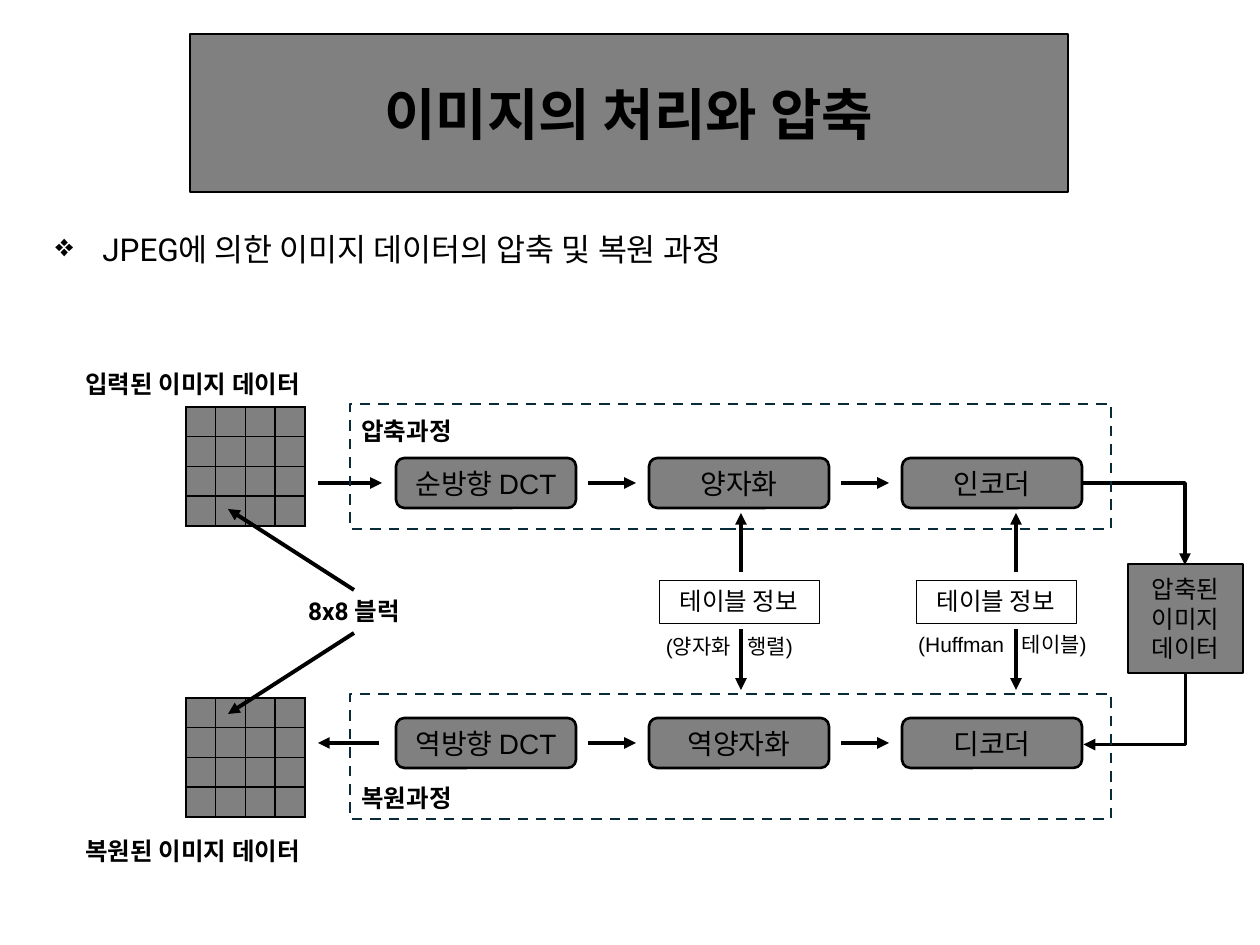
from lxml import etree
from pptx import Presentation
from pptx.dml.color import RGBColor
from pptx.enum.dml import MSO_LINE
from pptx.enum.shapes import MSO_CONNECTOR, MSO_SHAPE
from pptx.enum.text import MSO_ANCHOR, MSO_AUTO_SIZE, PP_ALIGN
from pptx.oxml.ns import qn
from pptx.util import Emu, Pt

RECT, ROUND = MSO_SHAPE.RECTANGLE, MSO_SHAPE.ROUNDED_RECTANGLE
STRAIGHT, ELBOW = MSO_CONNECTOR.STRAIGHT, MSO_CONNECTOR.ELBOW
LEFT, CENTER = PP_ALIGN.LEFT, PP_ALIGN.CENTER
TOP, MIDDLE = MSO_ANCHOR.TOP, MSO_ANCHOR.MIDDLE
FIXED, GROW = MSO_AUTO_SIZE.NONE, MSO_AUTO_SIZE.SHAPE_TO_FIT_TEXT
DASH = MSO_LINE.DASH

BLACK, GRAY, NAVY = "000000", "808080", "092A39"
ARIAL, ROBOTO, KOREAN = "Arial", "Roboto", "Noto Sans CJK KR"


def px(n):
    return Emu(round(n * 914400 / 126))


def color(hex_code):
    return RGBColor.from_string(hex_code)


def add_run(p, text, size, font, bold=False):
    r = p.add_run()
    r.text = text
    r.font.size, r.font.bold, r.font.name = Pt(size), bold, font
    r.font.color.rgb = color(BLACK)
    etree.SubElement(r.font._element, qn("a:ea"), typeface=KOREAN)
    return r


def write(sp, text, size, font, bold=False, align=CENTER, anchor=MIDDLE, fit=FIXED):
    tf = sp.text_frame
    tf.word_wrap, tf.auto_size, tf.vertical_anchor = True, fit, anchor
    p = tf.paragraphs[0]
    p.alignment = align
    for i, line in enumerate(text.split("\n")):
        if i:
            p.add_line_break()
        add_run(p, line, size, font, bold)
    return p


def paint(sp, fill, line, width):
    if fill:
        sp.fill.solid()
        sp.fill.fore_color.rgb = color(fill)
    else:
        sp.fill.background()
    sp.line.color.rgb = color(line)
    sp.line.width = Pt(width)


def add_box(s, kind, x, y, w, h, fill=GRAY, line=BLACK, width=1.5):
    sp = s.shapes.add_shape(kind, px(x), px(y), px(w), px(h))
    sp.shadow.inherit = False
    paint(sp, fill, line, width)
    return sp


def add_label(s, x, y, w, h, text, size=14, font=ROBOTO, bold=True, align=LEFT):
    sp = s.shapes.add_textbox(px(x), px(y), px(w), px(h))
    return write(sp, text, size, font, bold, align, TOP, GROW)


def add_arrow(s, x1, y1, x2, y2, kind=STRAIGHT):
    c = s.shapes.add_connector(kind, px(x1), px(y1), px(x2), px(y2))
    c.line.color.rgb = color(BLACK)
    c.line.width = Pt(2.25)
    etree.SubElement(c.line._get_or_add_ln(), qn("a:tailEnd"), type="triangle")
    etree.SubElement(c._element.spPr, qn("a:effectLst"))
    return c


def add_elbow(s, x, y, w, h, turn=0):
    spPr = add_arrow(s, x, y, x + w, y + h, ELBOW)._element.spPr
    spPr.find(qn("a:prstGeom")).set("prst", "bentConnector2")
    spPr.find(qn("a:xfrm")).set("rot", str(turn * 60000))


def add_block_grid(s, x, y, side=119, n=4):
    tbl = s.shapes.add_table(n, n, px(x), px(y), px(side), px(side)).table
    tbl.first_row = tbl.horz_banding = False
    for cell in tbl.iter_cells():
        cell.margin_left = cell.margin_right = cell.margin_top = cell.margin_bottom = 0
        p = cell.text_frame.paragraphs[0]
        etree.SubElement(p._p, qn("a:endParaRPr"), sz="800")
        tcPr = cell._tc.get_or_add_tcPr()
        for edge in ("a:lnL", "a:lnR", "a:lnT", "a:lnB"):
            ln = etree.SubElement(tcPr, qn(edge), w=str(Pt(1)))
            fill = etree.SubElement(ln, qn("a:solidFill"))
            etree.SubElement(fill, qn("a:srgbClr"), val=BLACK)
        cell.fill.solid()
        cell.fill.fore_color.rgb = color(GRAY)


def add_scroll_title(s, text):
    sp = s.shapes.title
    sp.left, sp.top, sp.width, sp.height = px(190), px(34), px(878), px(158)
    geom = etree.Element(qn("a:prstGeom"), prst="horizontalScroll")
    etree.SubElement(geom, qn("a:avLst"))
    sp._element.spPr.find(qn("a:xfrm")).addnext(geom)
    paint(sp, GRAY, BLACK, 1.5)
    write(sp, text, 32, KOREAN, True)


def add_bullet(s, text):
    p = add_label(s, 43, 224, 755, 50, text, 18, bold=False)
    pPr = p._p.get_or_add_pPr()
    pPr.set("marL", str(px(47)))
    pPr.set("indent", str(-px(47)))
    clr = etree.SubElement(pPr, qn("a:buClr"))
    etree.SubElement(clr, qn("a:srgbClr"), val=BLACK)
    etree.SubElement(pPr, qn("a:buChar"), char="❖")


def add_stage_row(s, y, names):
    for i, name in enumerate(names):
        x = 396 + 253 * i
        write(add_box(s, ROUND, x, y, 180, 50), name, 16, ARIAL)
        if i:
            add_arrow(s, x - 61, y + 25, x - 13, y + 25)


def add_table_info(s, box_x, arrow_x, note_x, note_y, before, after):
    box = add_box(s, RECT, box_x, 580, 160, 43, None, width=0.25)
    write(box, "테이블 정보", 14, ARIAL, anchor=TOP, fit=GROW)
    add_arrow(s, arrow_x, 572, arrow_x, 513)
    add_arrow(s, arrow_x, 629, arrow_x, 690)
    # The widened space leaves room for the arrow
    p = add_label(s, note_x, note_y, 249, 38, before, 12, ARIAL, False, CENTER)
    add_run(p, " ", 12, ARIAL).font._element.set("spc", "670")
    add_run(p, after, 12, ARIAL)


def main():
    prs = Presentation()
    prs.slide_width, prs.slide_height = px(1260), px(945)
    s = prs.slides.add_slide(prs.slide_layouts[5])

    # Heading
    add_scroll_title(s, "이미지의 처리와 압축")
    add_bullet(s, "JPEG에 의한 이미지 데이터의 압축 및 복원 과정")

    # Image data blocks
    add_block_grid(s, 186, 407)
    add_block_grid(s, 186, 698)
    add_label(s, 73, 363, 281, 43, "입력된 이미지 데이터")
    add_label(s, 73, 830, 281, 43, "복원된 이미지 데이터")
    add_label(s, 287, 590, 134, 43, "8x8 블럭", align=CENTER)
    add_arrow(s, 354, 590, 228, 509)
    add_arrow(s, 354, 633, 228, 714)

    # Compression and restoration stages
    add_arrow(s, 318, 483, 382, 483)
    add_stage_row(s, 458, ["순방향 DCT", "양자화", "인코더"])
    add_arrow(s, 379, 743, 318, 743)
    add_stage_row(s, 718, ["역방향 DCT", "역양자화", "디코더"])

    # Shared tables
    add_table_info(s, 659, 741, 605, 627, "(양자화", "행렬)")
    add_table_info(s, 916, 1016, 878, 625, "(Huffman", "테이블)")

    # Compressed data
    box = add_box(s, RECT, 1128, 564, 115, 109)
    write(box, "압축된\n이미지\n데이터", 14, ARIAL)
    add_elbow(s, 1083, 483, 102, 82)
    add_elbow(s, 1099, 658, 71, 102, turn=90)

    # Process frames
    for frame_y, label_y, name in ((404, 410, "압축과정"), (694, 777, "복원과정")):
        frame = add_box(s, RECT, 350, frame_y, 761, 125, None, NAVY)
        frame.line.dash_style = DASH
        add_label(s, 349, label_y, 180, 43, name)

    prs.save("out.pptx")


if __name__ == "__main__":
    main()
